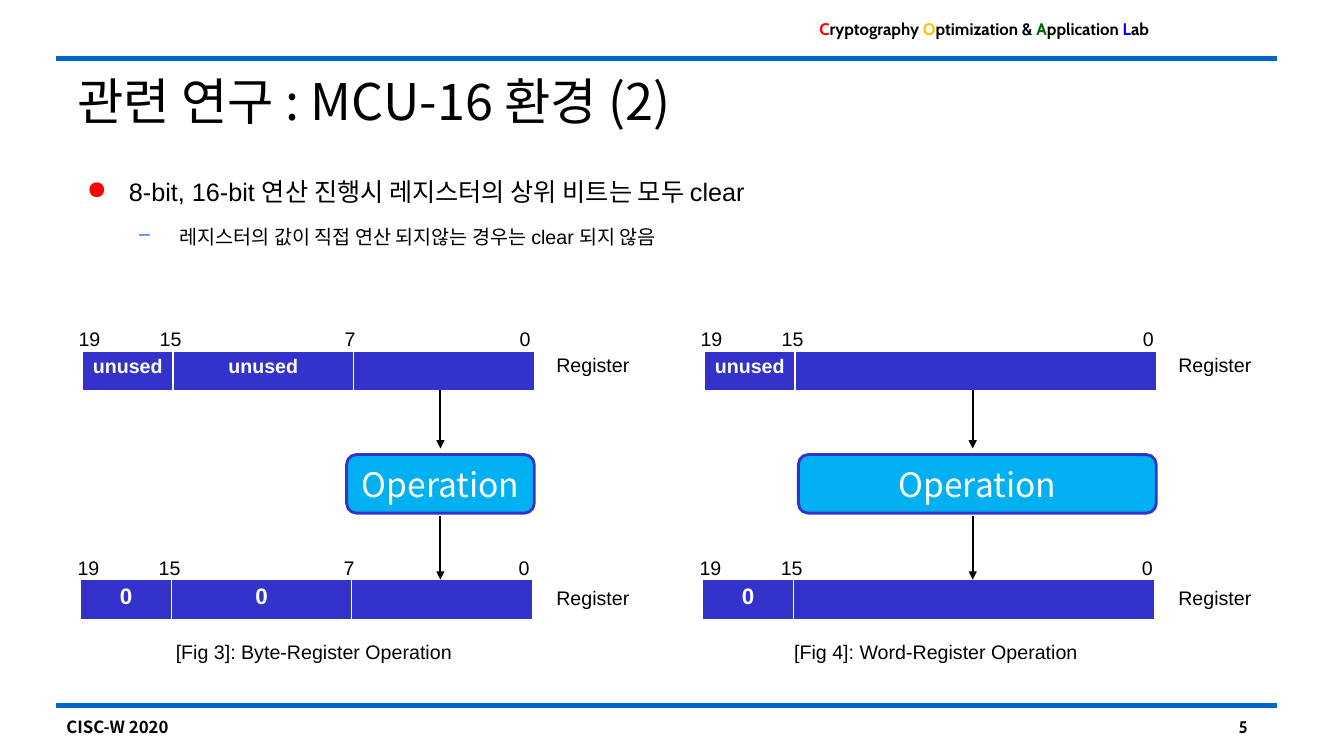
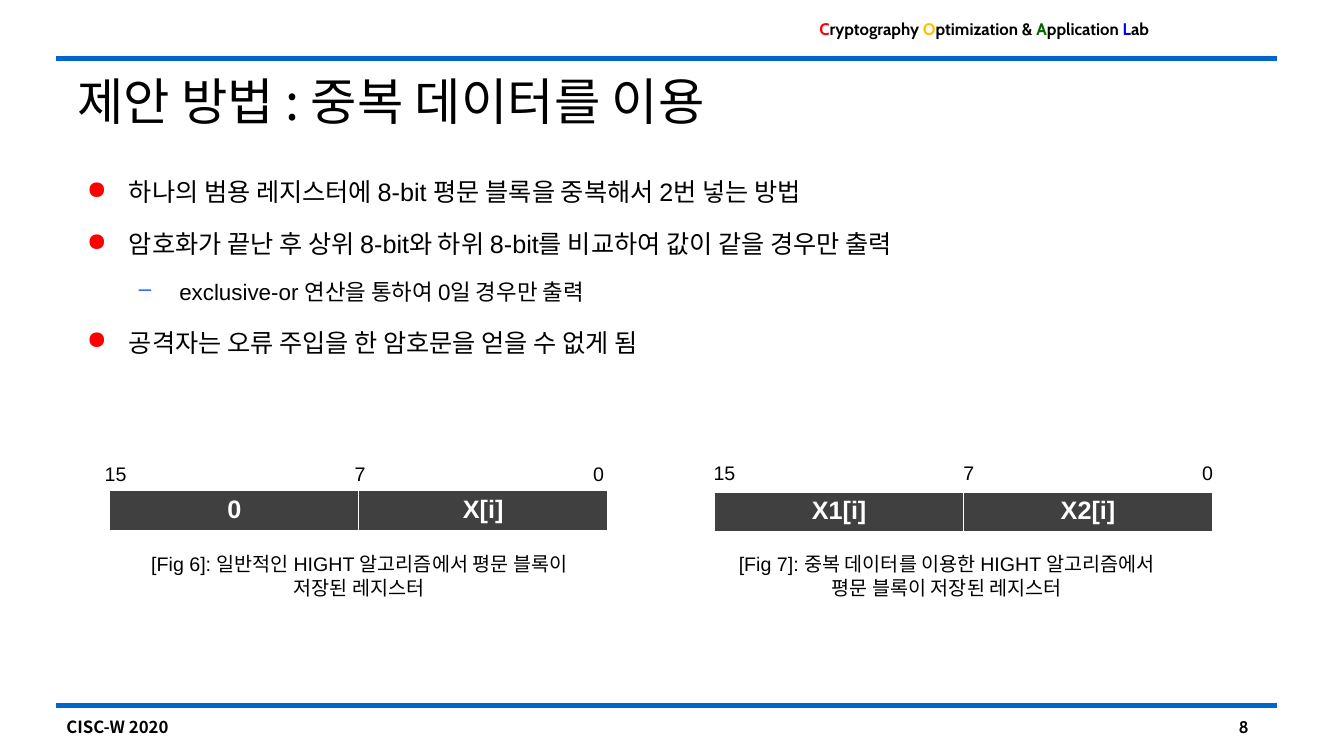
from lxml import etree
from pptx import Presentation
from pptx.dml.color import RGBColor
from pptx.enum.shapes import MSO_CONNECTOR, MSO_SHAPE
from pptx.enum.text import MSO_ANCHOR, MSO_AUTO_SIZE, PP_ALIGN
from pptx.oxml.ns import qn
from pptx.util import Pt

LEFT, CENTER = PP_ALIGN.LEFT, PP_ALIGN.CENTER
TOP, MIDDLE = MSO_ANCHOR.TOP, MSO_ANCHOR.MIDDLE
NO_FIT = MSO_AUTO_SIZE.NONE
STRAIGHT = MSO_CONNECTOR.STRAIGHT
ROUND_RECT = MSO_SHAPE.ROUNDED_RECTANGLE
TITLE_ONLY = 5

COLORS = {
    "black": "000000", "white": "FFFFFF", "rule": "0066CC",
    "red": "FF0000", "gold": "FFC000", "green": "006600", "blue": "0000FF",
    "dash": "3366FF", "register": "3333CC", "operation": "00B0F0",
    "block": "404040",
}
ARIAL, CABIN, NOTO = "Arial", "Cabin", "Noto Sans CJK KR"
LAB_NAME = [("C", "red"), ("ryptography ", "black"),
            ("O", "gold"), ("ptimization & ", "black"),
            ("A", "green"), ("pplication ", "black"),
            ("L", "blue"), ("ab", "black")]
# Per level: bullet, bullet colour, left margin, hanging indent, space before
BULLETS = [("●", "red", 36, -30, 4.8), ("–", "dash", 72, -28.8, 4.4)]
ROW_H = 29.5


def rgb(name):
    return RGBColor.from_string(COLORS[name])


def sub(parent, tag, **attrs):
    return etree.SubElement(parent, qn(tag), **attrs)


def style_run(r, size, font=ARIAL, color="black", bold=False):
    r.font.size = Pt(size)
    r.font.name = font
    r.font.bold = bold
    r.font.color.rgb = rgb(color)
    sub(r.font._element, "a:ea", typeface=NOTO)


def style_text(tf, size, font=ARIAL, color="black", bold=False, align=LEFT):
    for p in tf.paragraphs:
        p.alignment = align
        for r in p.runs:
            style_run(r, size, font, color, bold)


def add_text(s, x, y, w, h, text="", size=14, **style):
    sp = s.shapes.add_textbox(Pt(x), Pt(y), Pt(w), Pt(h))
    tf = sp.text_frame
    tf.word_wrap = True
    tf.text = text
    style_text(tf, size, **style)
    return tf


def add_line(s, x1, y1, x2, y2, color, width, arrow=False):
    line = s.shapes.add_connector(STRAIGHT, Pt(x1), Pt(y1), Pt(x2), Pt(y2))
    line.line.color.rgb = rgb(color)
    line.line.width = Pt(width)
    if arrow:
        sub(line.line._get_or_add_ln(), "a:tailEnd", type="triangle")
    sub(line._element.spPr, "a:effectLst")


def add_frame(s, number):
    """Rules, lab name and footer shared by all slides."""
    for y in (504, 41.8):
        add_line(s, 40.3, y, 912.2, y, "rule", 3)
    add_text(s, 40.3, 508.3, 183, 21.6, "CISC-W 2020", 12, font=NOTO, bold=True)
    add_text(s, 877.7, 508.3, 48, 21.6, str(number), 12, font=CABIN, bold=True)
    p = add_text(s, 578.2, 10.1, 304, 21.6).paragraphs[0]
    for text, color in LAB_NAME:
        r = p.add_run()
        r.text = text
        style_run(r, 12, CABIN, color, True)


def add_title(s, text):
    title = s.shapes.title
    title.left, title.top, title.width, title.height = Pt(48.2), Pt(43.2), Pt(911.8), Pt(57)
    tf = title.text_frame
    tf.auto_size = NO_FIT
    tf.vertical_anchor = MIDDLE
    tf.text = text
    style_text(tf, 36, NOTO)


def add_bullets(s, x, y, w, h, items):
    """items: (level, size, text) for each paragraph."""
    tf = add_text(s, x, y, w, h)
    for i, (level, size, text) in enumerate(items):
        char, color, margin, indent, before = BULLETS[level]
        p = tf.paragraphs[0] if i == 0 else tf.add_paragraph()
        p.text = text
        p.level = level
        p.line_spacing = 1.5
        p.space_before = Pt(before)
        style_run(p.runs[0], size)
        pPr = p._p.get_or_add_pPr()
        pPr.set("marL", str(Pt(margin)))
        pPr.set("indent", str(Pt(indent)))
        sub(sub(pPr, "a:buClr"), "a:srgbClr", val=COLORS[color])
        sub(pPr, "a:buChar", char=char)


def set_borders(cell):
    tcPr = cell._tc.get_or_add_tcPr()
    for i, (tag, width) in enumerate(
            [("a:lnL", 1), ("a:lnR", 1), ("a:lnT", 1), ("a:lnB", 3)]):
        ln = sub(tcPr, tag, w=str(Pt(width)))
        sub(sub(ln, "a:solidFill"), "a:srgbClr", val=COLORS["white"])
        tcPr.insert(i, ln)


def add_register(s, x, y, widths, cells, size, fill):
    frame = s.shapes.add_table(1, len(cells), Pt(x), Pt(y), Pt(sum(widths)), Pt(ROW_H))
    table = frame.table
    table.first_row = table.horz_banding = False
    for i, (width, text) in enumerate(zip(widths, cells)):
        table.columns[i].width = Pt(width)
        cell = table.cell(0, i)
        cell.fill.solid()
        cell.fill.fore_color.rgb = rgb(fill)
        cell.vertical_anchor = TOP
        set_borders(cell)
        if text:
            cell.text = text
            style_text(cell.text_frame, size, color="white", bold=True, align=CENTER)


def add_bit_numbers(s, x, y, w, bits, stops):
    """Bit positions on one line, set apart by tab stops."""
    tf = add_text(s, x, y, w, 24.5, "\t".join(bits))
    tabs = sub(tf.paragraphs[0]._p.get_or_add_pPr(), "a:tabLst")
    for stop in stops:
        sub(tabs, "a:tab", pos=str(Pt(stop)), algn="l")


def add_operation_figure(s, x, y, widths, bits, stops, used, op_w, arrow_x, caption):
    """Register, operation and resulting register, from top to bottom."""
    add_text(s, x + 18, y + 224, 314.6, 24.5, caption, align=CENTER)
    rows = [(0, 0, 10, 21, "unused", 14, 18.7),
            (-0.7, 164.1, 8.7, 184.3, "0", 16, 185)]
    for bit_x, bit_y, reg_x, reg_y, word, size, name_y in rows:
        cells = [word] * used + [""]
        add_register(s, x + reg_x, y + reg_y, widths, cells, size, "register")
        add_bit_numbers(s, x + bit_x, y + bit_y, 342, bits, stops)
        add_text(s, x + 318, y + name_y, 113, 24.5, "Register", align=CENTER)

    # Operation box, aligned to the right end of the register
    sp = s.shapes.add_shape(ROUND_RECT, Pt(x + 332.6 - op_w), Pt(y + 95), Pt(op_w), Pt(41.8))
    sp.shadow.inherit = False
    sp.fill.solid()
    sp.fill.fore_color.rgb = rgb("operation")
    sp.line.color.rgb = rgb("register")
    sp.line.width = Pt(2)
    tf = sp.text_frame
    tf.vertical_anchor = MIDDLE
    tf.text = "Operation"
    style_text(tf, 24, NOTO, "white", align=CENTER)

    for start, end in ((49, 90.7), (139, 184.3)):
        add_line(s, x + arrow_x, y + start, x + arrow_x, y + end, "black", 1.5, arrow=True)


def add_block_figure(s, x, y, cells, bits_at, caption_x, caption):
    """A 16-bit register of two halves with its caption."""
    add_register(s, x, y, [177.8, 177.8], cells, 18, "block")
    add_text(s, caption_x, 391, 314.6, 41, caption, align=CENTER)
    add_bit_numbers(s, *bits_at, 382, ["15", "7", "0"], [178.5, 349])


def new_slide(prs, number, title):
    s = prs.slides.add_slide(prs.slide_layouts[TITLE_ONLY])
    add_frame(s, number)
    add_title(s, title)
    return s


def build_environment(prs):
    s = new_slide(prs, 5, "관련 연구 : MCU-16 환경 (2)")
    add_bullets(s, 49, 111.6, 888, 376.6, [
        (0, 18, "8-bit, 16-bit 연산 진행시 레지스터의 상위 비트는 모두 clear"),
        (1, 14, "레지스터의 값이 직접 연산 되지않는 경우는 clear 되지 않음"),
    ])
    add_operation_figure(s, 49, 229.7, [64.6, 129, 129], ["19", "15", "7", "0"],
                         [58, 190, 315], 2, 134, 265.6,
                         "[Fig 3]: Byte-Register Operation")
    add_operation_figure(s, 493.3, 229.7, [64.6, 258], ["19", "15", "0"],
                         [58, 316], 1, 255.6, 201.5,
                         "[Fig 4]: Word-Register Operation")


def build_method(prs):
    s = new_slide(prs, 8, "제안 방법 : 중복 데이터를 이용")
    add_bullets(s, 49, 111.6, 911, 376.6, [
        (0, 18, "하나의 범용 레지스터에 8-bit 평문 블록을 중복해서 2번 넣는 방법"),
        (0, 18, "암호화가 끝난 후 상위 8-bit와 하위 8-bit를 비교하여 값이 같을 경우만 출력"),
        (1, 16, "exclusive-or 연산을 통하여 0일 경우만 출력"),
        (0, 18, "공격자는 오류 주입을 한 암호문을 얻을 수 없게 됨"),
    ])
    add_block_figure(s, 78.5, 350.6, ["0", "X[i]"], (67.7, 326.2), 99.4,
                     "[Fig 6]: 일반적인 HIGHT 알고리즘에서 평문 블록이 저장된 레지스터")
    add_block_figure(s, 510.5, 351.4, ["X1[i]", "X2[i]"], (502.6, 325.4), 519.1,
                     "[Fig 7]: 중복 데이터를 이용한 HIGHT 알고리즘에서 평문 블록이 저장된 레지스터")


def main():
    prs = Presentation()
    prs.slide_width, prs.slide_height = Pt(960), Pt(540)
    build_environment(prs)
    build_method(prs)
    prs.save("out.pptx")


if __name__ == "__main__":
    main()
